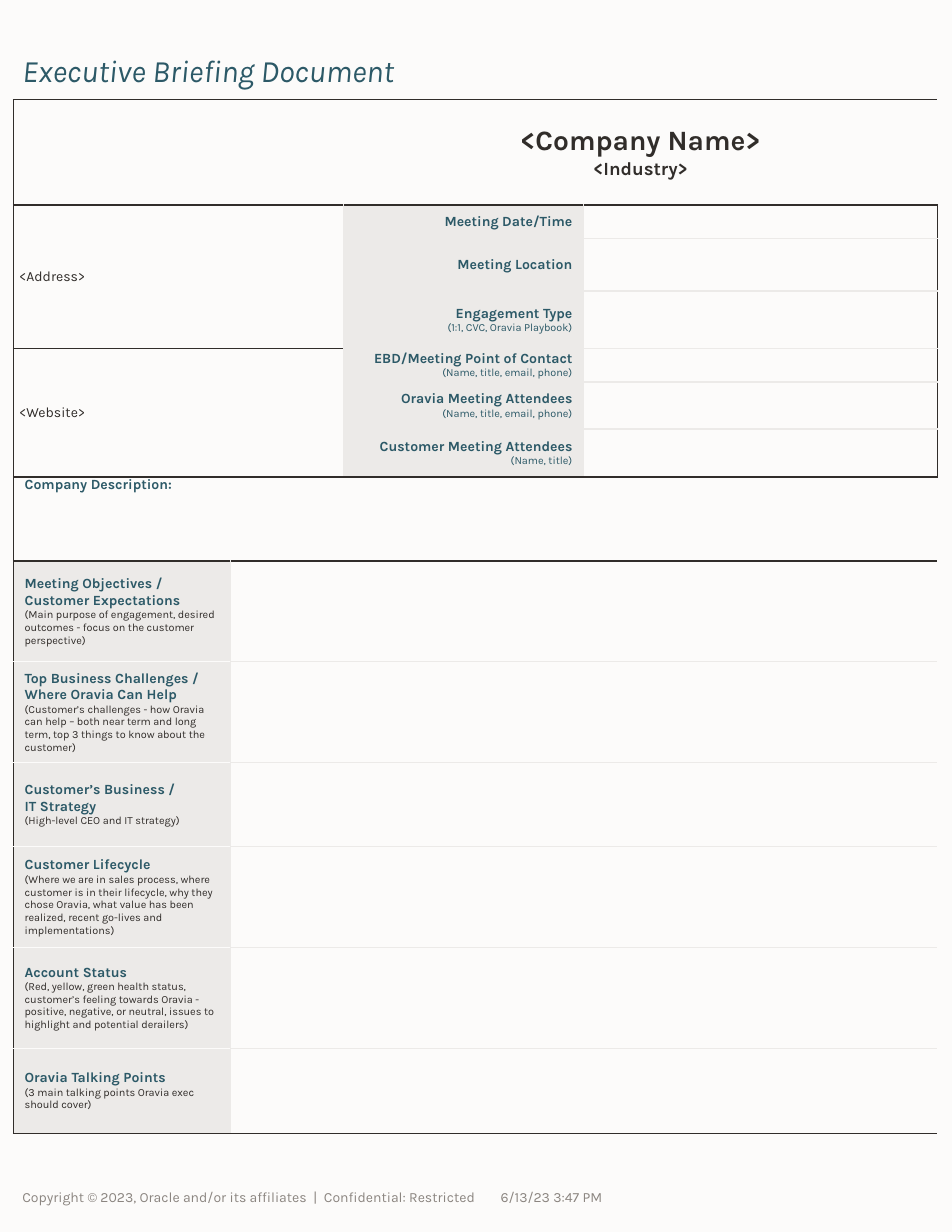
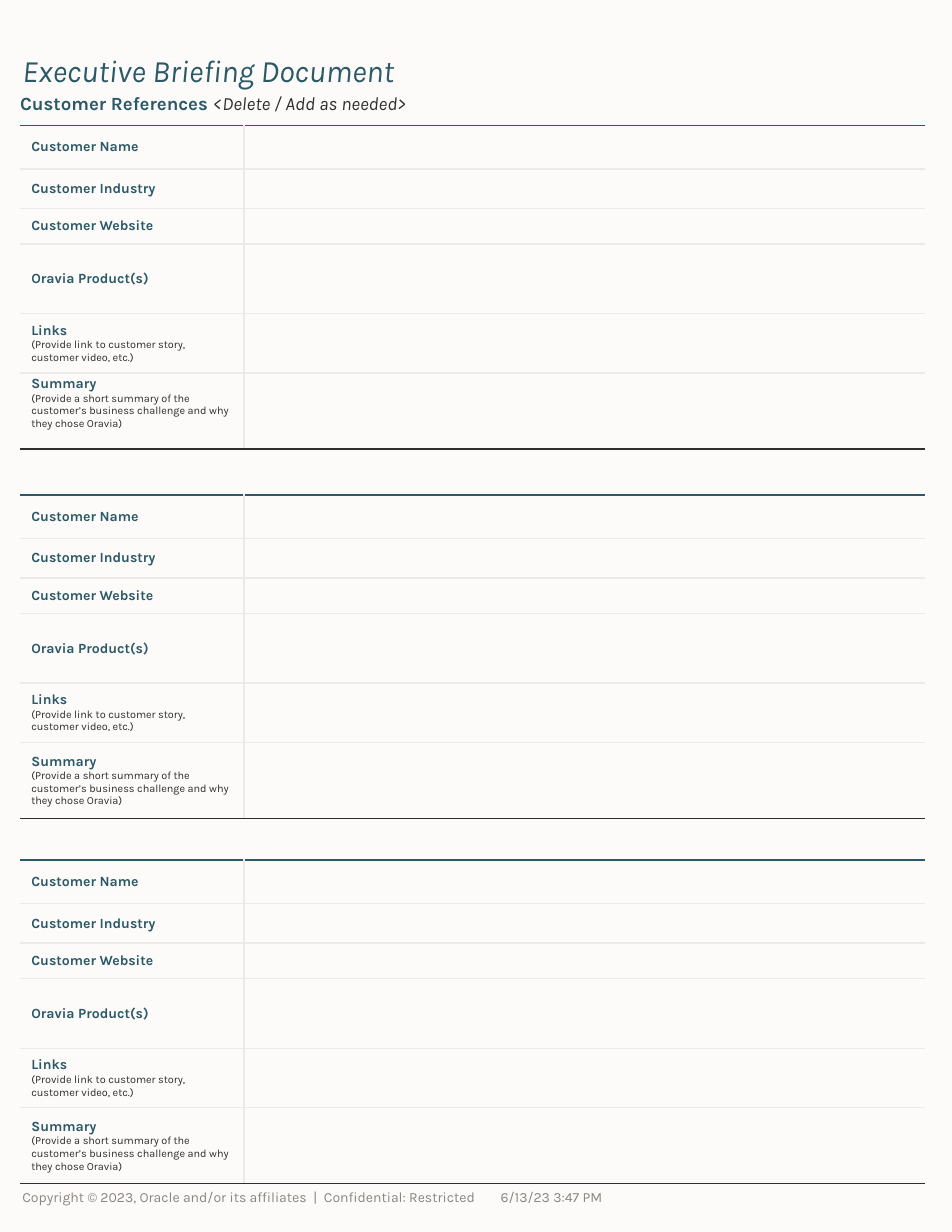
from dataclasses import dataclass
from itertools import product
from typing import Optional

import lxml.etree
import pptx
import pptx.dml.color
import pptx.enum.text
import pptx.oxml.ns
import pptx.util

W, H = pptx.util.Inches(8.5), pptx.util.Inches(11)
GRID_COLS, GRID_ROWS = 850, 1100
FONT = "Karla"
COLORS = {"paper": "FCFBFA", "ink": "312D2A", "teal": "2C5967",
          "mist": "ECEAE8", "grey": "8B8580"}
EDGE_COLORS = {"D": "ink", "L": "mist", "P": "paper", "T": "teal"}
NO_STYLE = "{2D5ABB26-0587-4C30-8999-92F81FD0307C}"
LEFT, CENTER, RIGHT = (pptx.enum.text.PP_ALIGN.LEFT, pptx.enum.text.PP_ALIGN.CENTER,
                       pptx.enum.text.PP_ALIGN.RIGHT)
TOP, MIDDLE, BOTTOM = (pptx.enum.text.MSO_ANCHOR.TOP, pptx.enum.text.MSO_ANCHOR.MIDDLE,
                       pptx.enum.text.MSO_ANCHOR.BOTTOM)


@dataclass(frozen=True)
class Line:
    text: str
    size: int = 9
    color: str = "teal"
    bold: bool = False
    italic: bool = False


@dataclass(frozen=True)
class Region:
    row: int
    col: int
    edges: str
    lines: tuple[Line, ...] = ()
    row_span: int = 1
    col_span: int = 1
    fill: Optional[str] = None
    align: int = LEFT
    anchor: int = MIDDLE
    inset: int = 10


def cols(n: float) -> int:
    return int(W * n / GRID_COLS)


def rows(n: float) -> int:
    return int(H * n / GRID_ROWS)


def rgb(name: str) -> pptx.dml.color.RGBColor:
    return pptx.dml.color.RGBColor.from_string(COLORS[name])


def head(text: str) -> Line:
    return Line(text, bold=True)


def note(text: str, color: str = "ink") -> Line:
    return Line(text, 7, color)


def set_font(font, line: Line) -> None:
    font.name, font.size = FONT, pptx.util.Pt(line.size)
    font.bold, font.italic = line.bold, line.italic
    font.color.rgb = rgb(line.color)


def add_text(slide, left: int, top: int, width: int, height: int,
             lines: tuple[Line, ...], anchor: int = TOP, pad: int = 0) -> None:
    tf = slide.shapes.add_textbox(cols(left), rows(top), cols(width), rows(height)).text_frame
    tf.word_wrap, tf.vertical_anchor = True, anchor
    tf.margin_left = tf.margin_right = 0
    tf.margin_top = tf.margin_bottom = rows(pad)
    p = tf.paragraphs[0]
    for line in lines:
        r = p.add_run()
        r.text = line.text
        if len(lines) > 1:
            set_font(r.font, line)
    if len(lines) == 1:
        set_font(p.font, lines[0])


def set_edge(cell, side: str, code: str) -> None:
    ln = lxml.etree.SubElement(cell._tc.get_or_add_tcPr(),
                               pptx.oxml.ns.qn(f"a:ln{side}"), w="12700")
    if code == "-":
        lxml.etree.SubElement(ln, pptx.oxml.ns.qn("a:noFill"))
        return
    solid = lxml.etree.SubElement(ln, pptx.oxml.ns.qn("a:solidFill"))
    lxml.etree.SubElement(solid, pptx.oxml.ns.qn("a:srgbClr"),
                          val=COLORS[EDGE_COLORS[code]])


def draw_region(table, region: Region) -> None:
    last_row = region.row + region.row_span - 1
    last_col = region.col + region.col_span - 1
    left, top, right, bottom = region.edges
    for i, j in product(range(region.row, last_row + 1), range(region.col, last_col + 1)):
        cell = table.cell(i, j)
        set_edge(cell, "L", left if j == region.col else "-")
        set_edge(cell, "R", right if j == last_col else "-")
        set_edge(cell, "T", top if i == region.row else "-")
        set_edge(cell, "B", bottom if i == last_row else "-")
        cell.margin_left = cell.margin_right = cols(region.inset)
        cell.margin_top = cell.margin_bottom = 0
        cell.vertical_anchor = region.anchor
        if region.fill:
            cell.fill.solid()
            cell.fill.fore_color.rgb = rgb(region.fill)
        else:
            cell.fill.background()
        if (i, j) != (region.row, region.col) or not region.lines:
            lxml.etree.SubElement(cell.text_frame.paragraphs[0]._p,
                                  pptx.oxml.ns.qn("a:endParaRPr"), sz="700")
    cell = table.cell(region.row, region.col)
    if (last_row, last_col) != (region.row, region.col):
        cell.merge(table.cell(last_row, last_col))
    tf = cell.text_frame
    for n, line in enumerate(region.lines):
        p = tf.add_paragraph() if n else tf.paragraphs[0]
        p.add_run().text = line.text
        p.alignment = region.align
        set_font(p.font, line)


def add_grid(slide, left: int, top: int, widths: tuple[int, ...],
             heights: tuple[int, ...], regions: list[Region]):
    table = slide.shapes.add_table(len(heights), len(widths), cols(left), rows(top),
                                   cols(sum(widths)), rows(sum(heights))).table
    table.first_row = table.horz_banding = False
    table._tbl.tblPr.find(pptx.oxml.ns.qn("a:tableStyleId")).text = NO_STYLE
    for column, width in zip(table.columns, widths):
        column.width = cols(width)
    for row, height in zip(table.rows, heights):
        row.height = rows(height)
    for region in regions:
        draw_region(table, region)
    return table


def new_page(prs):
    slide = prs.slides.add_slide(prs.slide_layouts[6])
    add_text(slide, 20, 1058, 411, 18, (Line(
        "Copyright © 2023, Oracle and/or its affiliates  |  Confidential: Restricted",
        color="grey"),), BOTTOM)
    add_text(slide, 447, 1058, 274, 18, (Line("6/13/23 3:47 PM", color="grey"),), BOTTOM)
    add_text(slide, 20, 46, 655, 34,
             (Line("Executive Briefing Document", 20, italic=True),))
    return slide


BRIEFING_WIDTHS = (194, 101, 214, 316)
BRIEFING_HEIGHTS = (94, 30, 47, 51, 30, 42, 43, 75, 90, 90, 75, 90, 90, 76)
MEETING_LABELS = (
    ("Meeting Date/Time", ""),
    ("Meeting Location", ""),
    ("Engagement Type", "(1:1, CVC, Oravia Playbook)"),
    ("EBD/Meeting Point of Contact", "(Name, title, email, phone)"),
    ("Oravia Meeting Attendees", "(Name, title, email, phone)"),
    ("Customer Meeting Attendees", "(Name, title)"),
)
TOPICS = (
    (("Meeting Objectives /", "Customer Expectations"),
     "(Main purpose of engagement, desired outcomes - focus on the customer perspective)"),
    (("Top Business Challenges / Where Oravia Can Help",),
     "(Customer’s challenges - how Oravia can help – both near term and long term, "
     "top 3 things to know about the customer)"),
    (("Customer’s Business /", "IT Strategy"), "(High-level CEO and IT strategy)"),
    (("Customer Lifecycle",),
     "(Where we are in sales process, where customer is in their lifecycle, why they chose "
     "Oravia, what value has been realized, recent go-lives and implementations)"),
    (("Account Status",),
     "(Red, yellow, green health status, customer’s feeling towards Oravia - positive, "
     "negative, or neutral, issues to highlight and potential derailers)"),
    (("Oravia Talking Points",), "(3 main talking points Oravia exec should cover)"),
)
REFERENCE_WIDTHS = (200, 608)
REFERENCE_HEIGHTS = (39, 35, 32, 62, 53, 68)
REFERENCE_TOPS = (112, 442, 768)
REFERENCE_LABELS = (
    ("Customer Name", ""),
    ("Customer Industry", ""),
    ("Customer Website", ""),
    ("Oravia Product(s)", ""),
    ("Links", "(Provide link to customer story, customer video, etc.)"),
    ("Summary", "(Provide a short summary of the customer’s business challenge "
                "and why they chose Oravia)"),
)


def label_lines(title: str, hint: str, color: str = "ink") -> tuple[Line, ...]:
    return (head(title), note(hint, color)) if hint else (head(title),)


def briefing_regions() -> list[Region]:
    regions = [
        Region(0, 0, "DD-D", col_span=2),
        Region(0, 2, "-DDD", (Line("<Company Name>", 18, "ink", True),
                              Line("<Industry>", 12, "ink", True)),
               col_span=2, fill="paper", align=CENTER),
        Region(1, 0, "DDLD", (Line("<Address>", color="ink"),), 3, 2, inset=5),
        Region(4, 0, "DDLD", (Line("<Website>", color="ink"),), 3, 2, inset=5),
        Region(7, 0, "DDDD", (head("Company Description:"),), col_span=4,
               fill="paper", anchor=TOP),
    ]
    for n, (title, hint) in enumerate(MEETING_LABELS):
        top = "L" if n else "D"
        bottom = "D" if n == len(MEETING_LABELS) - 1 else "L"
        regions += [
            Region(n + 1, 2, f"L{top}L{bottom}", label_lines(title, hint, "teal"),
                   fill="mist", align=RIGHT),
            Region(n + 1, 3, f"L{top}D{bottom}", fill="paper"),
        ]
    for n, (titles, hint) in enumerate(TOPICS):
        first, last = n == 0, n == len(TOPICS) - 1
        regions += [
            Region(n + 8, 0, f"D{'D' if first else 'P'}L{'D' if last else 'P'}",
                   (*map(head, titles), note(hint)), fill="mist"),
            Region(n + 8, 1, f"L{'D' if first else 'L'}D{'D' if last else 'L'}",
                   col_span=3, fill="paper"),
        ]
    return regions


def reference_regions() -> list[Region]:
    regions = []
    for n, (title, hint) in enumerate(REFERENCE_LABELS):
        top = "L" if n else "T"
        bottom = "D" if n == len(REFERENCE_LABELS) - 1 else "L"
        regions += [Region(n, 0, f"-{top}L{bottom}", label_lines(title, hint)),
                    Region(n, 1, f"L{top}-{bottom}")]
    return regions


def main() -> None:
    prs = pptx.Presentation()
    prs.slide_width, prs.slide_height = W, H
    background = prs.slide_master.background.fill
    background.solid()
    background.fore_color.rgb = rgb("paper")

    briefing = new_page(prs)
    add_grid(briefing, 12, 89, BRIEFING_WIDTHS, BRIEFING_HEIGHTS, briefing_regions())

    references = new_page(prs)
    add_text(references, 18, 77, 629, 30,
             (Line("Customer References ", 12, bold=True),
              Line("<Delete / Add as needed>", 12, "ink", italic=True)), pad=5)
    tables = [add_grid(references, 18, top, REFERENCE_WIDTHS, REFERENCE_HEIGHTS,
                       reference_regions()) for top in REFERENCE_TOPS]
    tables[0].cell(5, 0).margin_bottom = rows(14)

    prs.save("out.pptx")


if __name__ == "__main__":
    main()
